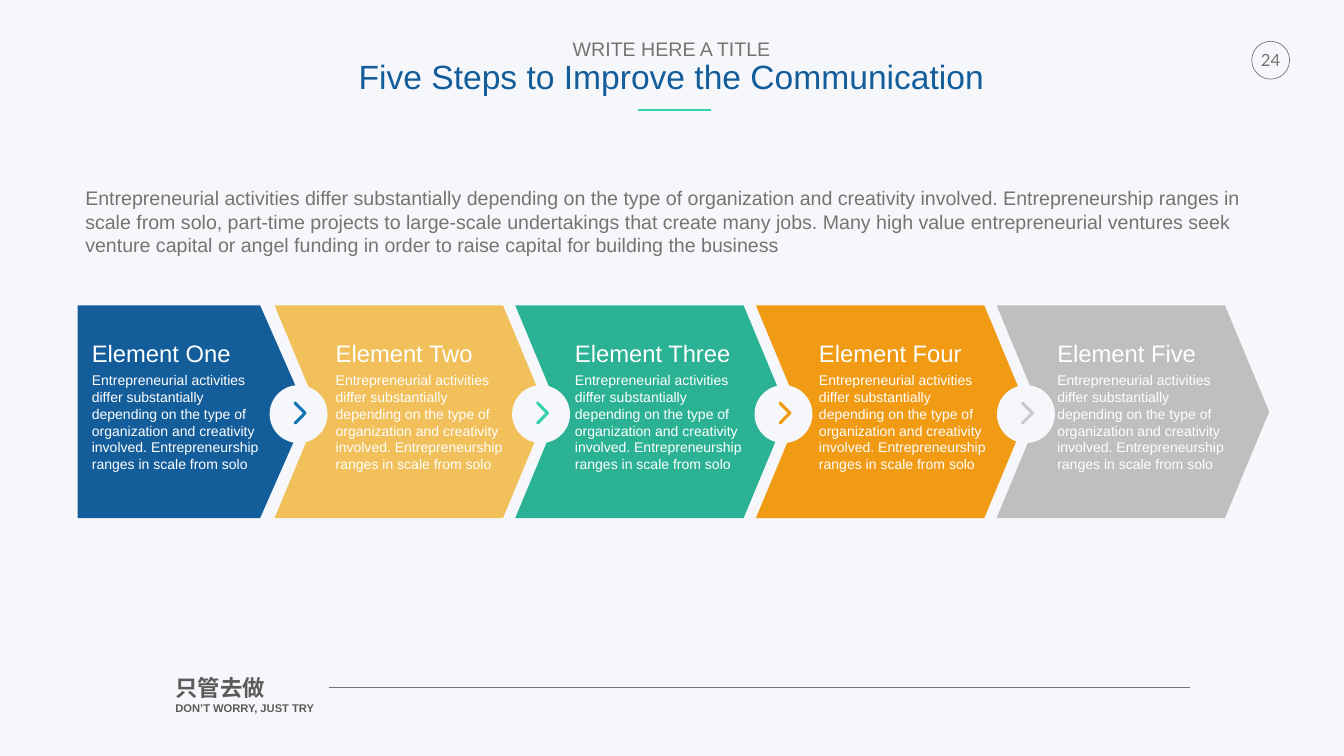
from lxml import etree
from pptx import Presentation
from pptx.dml.color import RGBColor
from pptx.enum.shapes import MSO_CONNECTOR, MSO_SHAPE
from pptx.enum.text import MSO_ANCHOR, MSO_AUTO_SIZE, PP_ALIGN
from pptx.oxml.ns import qn
from pptx.util import Cm, Pt

LINE = MSO_CONNECTOR.STRAIGHT
OVAL, CHEVRON = MSO_SHAPE.OVAL, MSO_SHAPE.CHEVRON
TOP, GROW = MSO_ANCHOR.TOP, MSO_AUTO_SIZE.SHAPE_TO_FIT_TEXT
LEFT, CENTER = PP_ALIGN.LEFT, PP_ALIGN.CENTER

HUES = {
    "back": "F6F7FA", "grey": "737572", "dark": "5B5B5B", "white": "FFFFFF",
    "blue": "135D9A", "sky": "0D73B2", "sand": "F1C05A", "mint": "33D1AD",
    "green": "2BB294", "orange": "F19A14", "silver": "BFBFBF", "mist": "CAC9D0",
}
RGB = {name: RGBColor.from_string(code) for name, code in HUES.items()}

# Font values and colour of each kind of text
FONTS = {
    "lead": ({"name": "Arial", "size": Pt(28)}, "grey"),
    "title": ({"name": "Arial", "size": Pt(48)}, "blue"),
    "page": ({"name": "Lato", "size": Pt(24)}, "grey"),
    "head": ({"name": "Arial", "size": Pt(34)}, "white"),
    "body": ({"name": "Arial", "size": Pt(20)}, "white"),
    "motto": ({"name": "Arial", "size": Pt(32), "bold": True}, "dark"),
    "small": ({"name": "Arial", "size": Pt(16), "bold": True}, "dark"),
}


def write(box, lines, wrap=True, align=LEFT, inset=0.13, space=1.0):
    frame = box.text_frame
    form = {
        "word_wrap": wrap, "auto_size": GROW, "vertical_anchor": TOP,
        "margin_left": Cm(inset), "margin_right": Cm(inset),
        "margin_top": Cm(inset), "margin_bottom": Cm(inset),
    }
    for key, value in form.items():
        setattr(frame, key, value)
    for i, (text, kind) in enumerate(lines):
        para = frame.add_paragraph() if i else frame.paragraphs[0]
        para.alignment, para.line_spacing = align, space
        para.space_before = Pt(0)
        run = para.add_run()
        run.text = text
        values, hue = FONTS[kind]
        for key, value in values.items():
            setattr(run.font, key, value)
        run.font.color.rgb = RGB[hue]


def paint(shape, hue):
    shape.shadow.inherit = False
    shape.fill.solid()
    shape.fill.fore_color.rgb = RGB[hue]
    shape.line.fill.background()


deck = Presentation()
deck.slide_width, deck.slide_height = Cm(67.74), Cm(38.1)
slide = deck.slides.add_slide(deck.slide_layouts[5])
slide.background.fill.solid()
slide.background.fill.fore_color.rgb = RGB["back"]
shapes = slide.shapes

# Page number in a ring
ring = shapes.add_shape(OVAL, Cm(63.09), Cm(2.08), Cm(1.91), Cm(1.91))
ring.shadow.inherit = False
ring.fill.background()
ring.line.color.rgb, ring.line.width = RGB["grey"], Pt(1)
page = shapes.add_textbox(Cm(63.04), Cm(2.25), Cm(2), Cm(1.52))
write(page, [("24", "page")], wrap=False, align=CENTER, inset=0.25)

# Title
title = shapes.title
title.left, title.top = Cm(17.93), Cm(1.86)
title.width, title.height = Cm(31.83), Cm(3.38)
write(title, [("WRITE HERE A TITLE", "lead"),
              ("Five Steps to Improve the Communication", "title")],
      wrap=False, align=CENTER, space=0.9)

# Footer motto
motto = shapes.add_textbox(Cm(8.71), Cm(33.86), Cm(10.13), Cm(2.51))
write(motto, [("只管去做", "motto"), ("DON’T WORRY, JUST TRY", "small")])

# Rules under the title and in the footer
for start, end, y, hue, width in [(32.18, 35.84, 5.54, "mint", 3),
                                  (16.56, 59.99, 34.65, "grey", 0.25)]:
    rule = shapes.add_connector(LINE, Cm(start), Cm(y), Cm(end), Cm(y))
    rule.line.color.rgb, rule.line.width = RGB[hue], Pt(width)
    etree.SubElement(rule._element.spPr, qn("a:effectLst"))

# Introduction
intro = shapes.add_textbox(Cm(4.17), Cm(9.25), Cm(59.41), Cm(3.86))
write(intro, [(
    "Entrepreneurial activities differ substantially depending on the type of "
    "organization and creativity involved. Entrepreneurship ranges in scale "
    "from solo, part-time projects to large-scale undertakings that create "
    "many jobs. Many high value entrepreneurial ventures seek venture capital "
    "or angel funding in order to raise capital for building the business",
    "lead")])

# Five steps: name, fill, arrow colour, text left
STEPS = [
    ("One", "blue", "sky", 4.5),
    ("Two", "sand", "mint", 16.79),
    ("Three", "green", "orange", 28.85),
    ("Four", "orange", "mist", 41.15),
    ("Five", "silver", None, 53.16),
]
BODY = ("Entrepreneurial activities differ substantially depending on the type "
        "of organization and creativity involved. Entrepreneurship ranges in "
        "scale from solo")
# Outlines in hundredths of a centimetre
FLAG = [(0, 0), (920, 0), (1156, 536), (920, 1072), (0, 1072)]
ARROW = [(3, 15), (46, 58), (3, 101), (0, 107), (2, 113), (8, 114), (13, 113),
         (61, 64), (64, 58), (61, 51), (13, 3), (8, 0), (2, 2), (0, 8)]
y = 15.39

# The last step lies at the back
for i, (name, fill, tint, x) in reversed(list(enumerate(STEPS))):
    group = shapes.add_group_shape().shapes
    if i:
        band = group.add_shape(CHEVRON, Cm(13.84 + 12.13 * (i - 1)), Cm(y),
                               Cm(13.74), Cm(10.72))
        band.adjustments[0] = 0.208
    else:
        pen = group.build_freeform(*FLAG[0], scale=Cm(0.01))
        pen.add_line_segments(FLAG[1:])
        band = pen.convert_to_shape(Cm(3.91), Cm(y))
    paint(band, fill)
    if tint:
        left = 13.59 + 12.22 * i
        disc = group.add_shape(OVAL, Cm(left), Cm(19.41), Cm(2.92), Cm(2.92))
        paint(disc, "back")
        pen = group.build_freeform(*ARROW[0], scale=Cm(0.01))
        pen.add_line_segments(ARROW[1:])
        paint(pen.convert_to_shape(Cm(left + 1.22), Cm(20.24)), tint)
    body = group.add_textbox(Cm(x), Cm(18.6), Cm(9.09), Cm(5.33))
    write(body, [(BODY, "body")])
    head = group.add_textbox(Cm(x), Cm(16.95), Cm(8.6), Cm(1.7))
    write(head, [(f"Element {name}", "head")], wrap=False)

deck.save("out.pptx")
